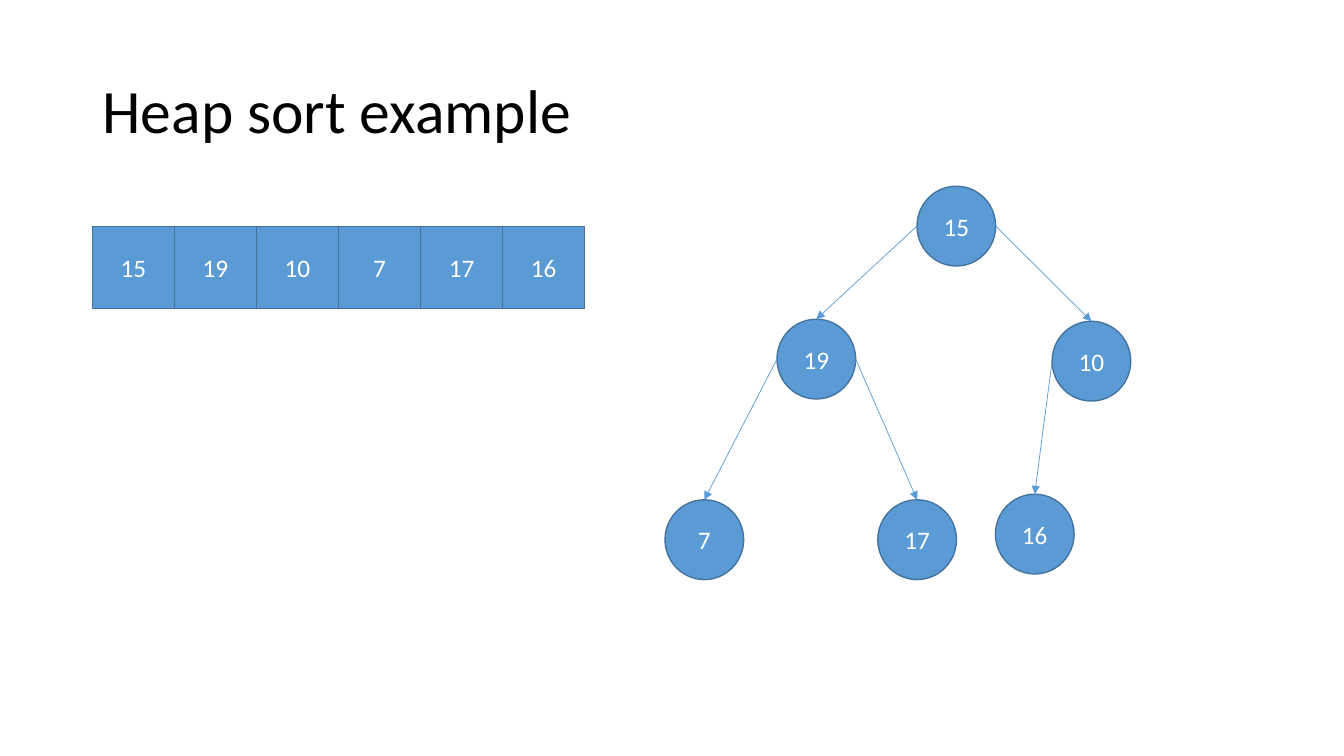
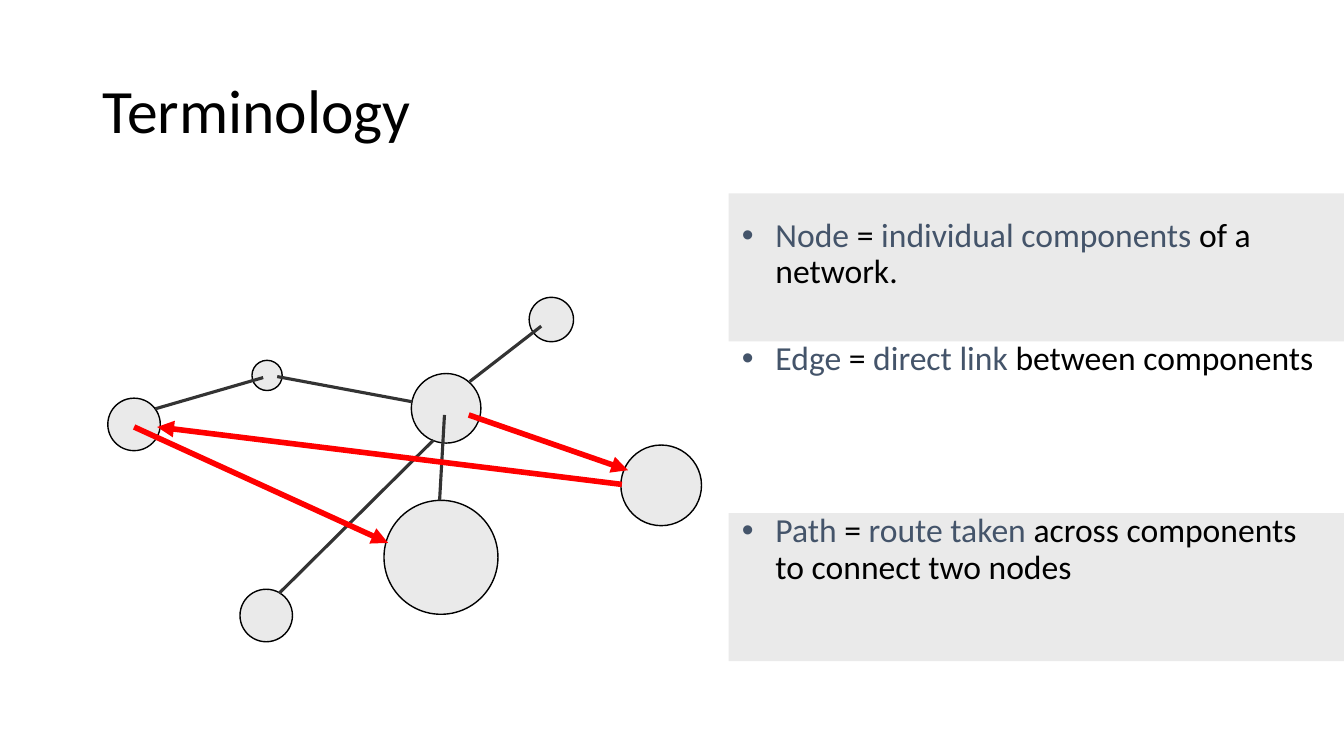
from pptx import Presentation
from pptx.dml.color import RGBColor
from pptx.enum import shapes as sh, text as tx
from pptx.oxml import parse_xml
from pptx.oxml.ns import nsdecls
from pptx.util import Pt

FONT = "Calibri"
BLACK, WHITE, GREY, DARK = "000000", "FFFFFF", "EAEAEA", "333333"
BLUE, NAVY, SLATE, RED = "5B9BD5", "43739E", "44546A", "FF0000"
OVAL, RECT = sh.MSO_SHAPE.OVAL, sh.MSO_SHAPE.RECTANGLE


def put(obj, **vals):
    for key, val in vals.items():
        setattr(obj, key, val)


def tint(part, hue):
    """Colour a font, or make a fill solid."""
    if hasattr(part, "solid"):
        part.solid()
        part.fore_color.rgb = RGBColor.from_string(hue)
    else:
        part.color.rgb = RGBColor.from_string(hue)


def place(obj, x, y, w, h):
    put(obj, left=Pt(x), top=Pt(y), width=Pt(w), height=Pt(h))


def write(par, words, size, hue):
    run = par.add_run()
    run.text = words
    put(run.font, name=FONT, size=Pt(size))
    tint(run.font, hue)


def block(slide, kind, box, fill, edge=None, label=""):
    """Add a filled shape, with an outline and a centred label if given."""
    item = slide.shapes.add_shape(kind, *map(Pt, box))
    item.shadow.inherit = False
    tint(item.fill, fill)
    if edge:
        tint(item.line.fill, edge)
        item.line.width = Pt(1)
    else:
        item.line.fill.background()
    if label:
        frame = item.text_frame
        put(frame, word_wrap=False, vertical_anchor=tx.MSO_ANCHOR.MIDDLE)
        frame.paragraphs[0].alignment = tx.PP_ALIGN.CENTER
        write(frame.paragraphs[0], label, 18, WHITE)
    return item


def link(slide, start, end, hue, width, arrow=False):
    line = slide.shapes.add_connector(
        sh.MSO_CONNECTOR.STRAIGHT, *map(Pt, (*start, *end)))
    tint(line.line.fill, hue)
    line.line.width = Pt(width)
    if arrow:
        line.line._get_or_add_ln().append(
            parse_xml(f'<a:tailEnd {nsdecls("a")} type="triangle"/>'))
    line.element.spPr.append(parse_xml(f'<a:effectLst {nsdecls("a")}/>'))


def start(deck, layout, title):
    """Add a slide with the shared title style."""
    slide = deck.slides.add_slide(deck.slide_layouts[layout])
    head = slide.shapes.title
    place(head, 66, 29, 828, 104)
    put(head.text_frame, vertical_anchor=tx.MSO_ANCHOR.MIDDLE,
        auto_size=tx.MSO_AUTO_SIZE.NONE)
    par = head.text_frame.paragraphs[0]
    put(par, alignment=tx.PP_ALIGN.LEFT, line_spacing=0.9)
    write(par, title, 44, BLACK)
    return slide


def array(slide, x, y, vals, side=58.6):
    for i, val in enumerate(vals):
        block(slide, RECT, (x + i * side, y, side, side), BLUE, NAVY, str(val))


def tree(slide, x, y, vals):
    """Draw a heap; the parent of node i is node (i - 1) // 2."""
    w, h = 56.2, 57
    spots = [(180, 0), (80, 95), (276.5, 96.5), (0, 224), (152, 224), (236, 220)]
    spots = [(x + dx, y + dy) for dx, dy in spots]
    for spot, val in zip(spots, vals):
        block(slide, OVAL, (*spot, w, h), BLUE, NAVY, str(val))
    for i, (left, top) in enumerate(spots[1:], 1):
        px, py = spots[(i - 1) // 2]
        side = px if i % 2 else px + w
        link(slide, (side, py + h / 2), (left + w / 2, top), BLUE, 0.5, True)


def network(slide, x, y):
    nodes = [(0, 72, 37.5), (103, 45, 21.6), (197.3, 145, 81.4),
             (216.8, 54.4, 49.7), (301, 0, 31.7), (366.5, 105.5, 57.6),
             (94.4, 208.5, 37.5)]
    edges = [((240.5, 84), (237, 145)), ((111, 57.3), (34, 79.6)),
             ((217.5, 74.6), (121, 56.6)), ((309.6, 20.6), (258.5, 60.2)),
             ((232.6, 102), (122.4, 211.4))]
    route = [((257.8, 84), (371.6, 123.5)), ((367.2, 133.6), (35.3, 92.6)),
             ((18.8, 92.6), (200.2, 175.4))]
    for dx, dy, d in nodes:
        block(slide, OVAL, (x + dx, y + dy, d, d), GREY, BLACK)
    for pairs, style in ((edges, (DARK, 2.25)), (route, (RED, 4, True))):
        for pair in pairs:
            ends = [(x + dx, y + dy) for dx, dy in pair]
            link(slide, *ends, *style)


def terms(slide, x, y, w):
    """Fill the body list and set grey bands behind it."""
    for top in (y, y + 228.3):
        band = block(slide, RECT, (x, top, w, 105.8), GREY)
        slide.shapes.title.element.addnext(band.element)
    body = slide.placeholders[1]
    place(body, x + 2.2, y + 14.4, 426, 310)
    frame = body.text_frame
    put(frame, auto_size=tx.MSO_AUTO_SIZE.NONE, word_wrap=True,
        vertical_anchor=tx.MSO_ANCHOR.TOP)
    rows = [(5, "Node", "individual components", " of a network."),
            (36, "Edge", "direct link", " between components"),
            (97, "Path", "route taken",
             " across components to connect two nodes")]
    for i, (gap, term, gist, rest) in enumerate(rows):
        par = frame.add_paragraph() if i else frame.paragraphs[0]
        put(par, line_spacing=0.9, space_before=Pt(gap))
        props = par._p.get_or_add_pPr()
        props.set("marL", str(Pt(24)))
        props.set("indent", str(-Pt(24)))
        for words, hue in ((term, SLATE), (" = ", BLACK),
                           (gist, SLATE), (rest, BLACK)):
            write(par, words, 24, hue)


def main():
    deck = Presentation()
    put(deck, slide_width=Pt(960), slide_height=Pt(540))

    heap = start(deck, 5, "Heap sort example")
    vals = [15, 19, 10, 7, 17, 16]
    tree(heap, 475, 133, vals)
    array(heap, 66, 162, vals)

    words = start(deck, 1, "Terminology")
    terms(words, 520.5, 138.2, 439.5)
    network(words, 77, 212.4)

    deck.save("out.pptx")


if __name__ == "__main__":
    main()
